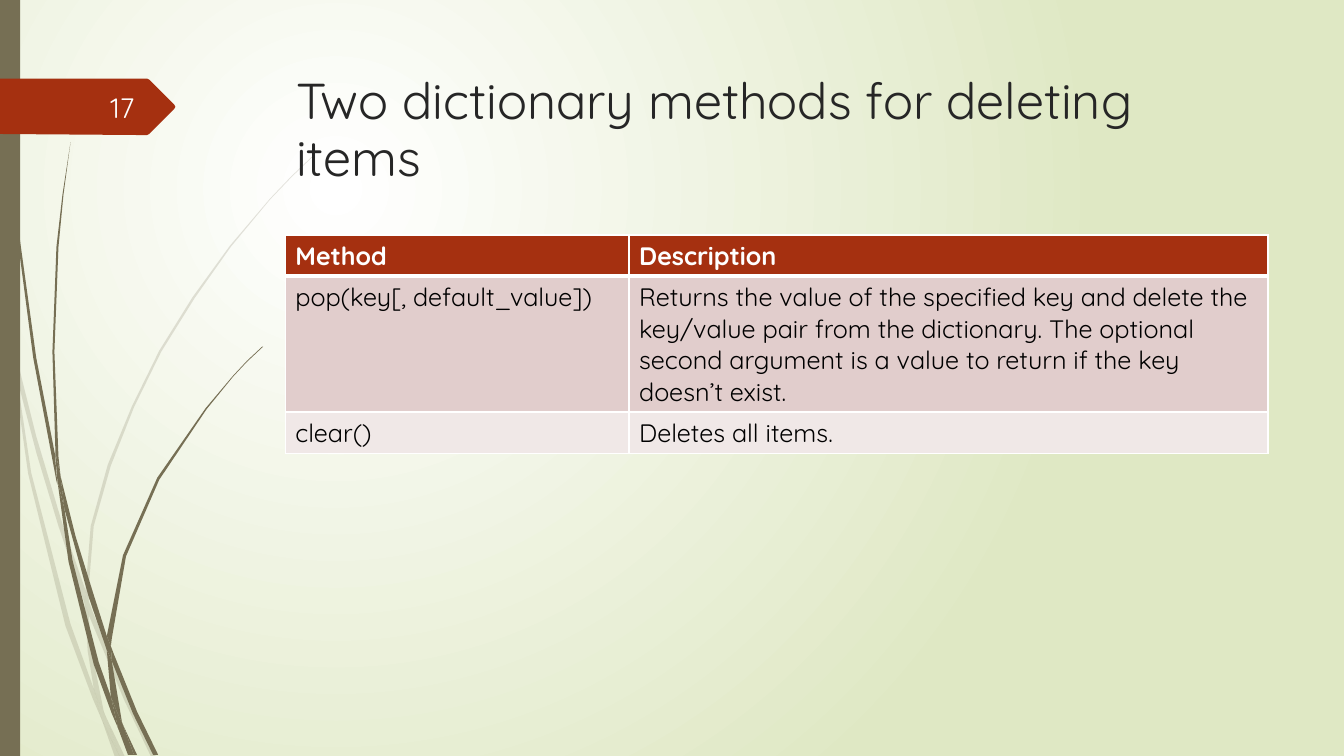
from dataclasses import dataclass

from lxml.etree import SubElement
from pptx import Presentation
from pptx.dml.color import RGBColor
from pptx.enum.shapes import MSO_SHAPE
from pptx.enum.text import MSO_ANCHOR, PP_ALIGN
from pptx.oxml import parse_xml
from pptx.oxml.ns import nsdecls, qn
from pptx.shapes.base import BaseShape
from pptx.slide import Slide
from pptx.table import _Cell as Cell
from pptx.util import Length, Pt

FONT = "Quicksand"
OLIVE = RGBColor(0x76, 0x6F, 0x54)
RUST = RGBColor(0xA5, 0x30, 0x10)
ROSE = RGBColor(0xE1, 0xCD, 0xCC)
PALE_ROSE = RGBColor(0xF0, 0xE8, 0xE7)
LIME = RGBColor(0xDF, 0xE8, 0xC4)
WHITE = RGBColor(0xFF, 0xFF, 0xFF)
NEAR_WHITE = RGBColor(0xFE, 0xFF, 0xFF)
BLACK = RGBColor(0x00, 0x00, 0x00)
CHARCOAL = RGBColor(0x26, 0x26, 0x26)

GRID = Pt(0.72)  # outline coordinates are whole steps of this grid
Outline = list[tuple[int, int]]


@dataclass(frozen=True)
class Grass:
    """A tuft of grass: the outlines of its blades and their opacity in percent."""
    blades: list[Outline]
    opacity: int


@dataclass(frozen=True)
class TextLine:
    """A one-paragraph text box; lengths in points."""
    text: str
    left: float
    top: float
    width: float
    height: float
    size: int
    color: RGBColor
    align: PP_ALIGN
    anchor: MSO_ANCHOR
    spacing: float


@dataclass(frozen=True)
class MethodRow:
    """A table row with its look; height in points."""
    texts: tuple[str, str]
    height: float
    fill: RGBColor
    color: RGBColor
    bold: bool
    top_border: int
    bottom_border: int


FAINT_GRASS = Grass([
    [(11, 350), (9, 322), (0, 282), (0, 299), (10, 344)],
    [(58, 522), (84, 599), (85, 586), (62, 520), (36, 433), (14, 345), (17, 376), (36, 449)],
    [(92, 607), (88, 596), (88, 610), (123, 694), (150, 751), (155, 751), (127, 692)],
    [(119, 751), (124, 751), (105, 711)],
    [(93, 683), (70, 619), (31, 469), (17, 376), (11, 350), (28, 470), (65, 621), (92, 693),
     (101, 714), (99, 707)],
    [(84, 599), (87, 646), (93, 683), (96, 692), (105, 711), (103, 706), (91, 646), (88, 610),
     (88, 608)],
    [(88, 584), (93, 522), (110, 462), (133, 404), (160, 349), (193, 296), (229, 245), (268, 198),
     (290, 175), (312, 154), (312, 153), (289, 175), (268, 197), (228, 244), (191, 295),
     (158, 348), (131, 403), (107, 461), (90, 522), (85, 584), (85, 586), (88, 596)],
    [(101, 714), (114, 751), (119, 751)],
    [(88, 608), (88, 610), (88, 596), (85, 586), (84, 599)],
    [(96, 692), (93, 683), (99, 707), (101, 714), (119, 751), (105, 711)],
], 20)

DARK_GRASS = Grass([
    [(7, 110), (17, 233), (33, 355), (56, 477), (57, 481), (55, 457), (55, 453), (36, 355),
     (19, 232), (8, 109), (5, 48), (4, 0), (3, 0), (4, 48)],
    [(88, 592), (106, 645), (106, 633), (106, 631), (93, 590), (75, 532), (60, 472), (64, 505)],
    [(113, 649), (110, 641), (111, 656), (132, 708), (152, 749), (157, 749), (136, 706)],
    [(110, 691), (98, 657), (72, 556), (64, 505), (57, 477), (68, 557), (93, 659), (111, 708),
     (117, 722), (116, 717)],
    [(60, 472), (58, 453), (54, 349), (58, 245), (63, 193), (70, 141), (62, 193), (56, 245),
     (52, 349), (55, 449)],
    [(133, 749), (136, 749), (122, 719)],
    [(57, 477), (64, 505), (60, 472), (55, 449), (55, 453)],
    [(111, 633), (125, 552), (158, 476), (205, 406), (231, 374), (245, 359), (261, 344),
     (260, 344), (245, 358), (231, 373), (204, 405), (156, 474), (122, 551), (106, 631),
     (110, 641)],
    [(117, 722), (127, 749), (131, 749)],
    [(106, 645), (110, 691), (116, 706), (122, 719), (121, 716), (111, 656), (109, 651)],
    [(106, 645), (109, 651), (111, 656), (110, 641), (106, 631), (106, 633)],
    [(116, 706), (110, 691), (116, 717), (117, 722), (130, 749), (133, 749), (122, 719)],
], 100)

NUMBER_FLAG = [(173, 108), (148, 133), (146, 134), (136, 134), (0, 133), (0, 78), (136, 78),
               (146, 78), (148, 79), (173, 104), (174, 106)]

TEXT_LINES = [
    TextLine("Two dictionary methods for deleting items", 204.5, 49, 702, 100.8, 36, CHARCOAL,
             PP_ALIGN.LEFT, MSO_ANCHOR.TOP, 0.95),
    TextLine("17", 41.8, 62, 61.2, 28.8, 20, NEAR_WHITE, PP_ALIGN.RIGHT, MSO_ANCHOR.MIDDLE, 1),
]

COLUMN_WIDTHS = (245.5, 456.5)
METHOD_ROWS = [
    MethodRow(("Method", "Description"), 29.5, RUST, WHITE, True, 1, 3),
    MethodRow(("pop(key[, default_value])",
               "Returns the value of the specified key and delete the key/value pair from the "
               "dictionary. The optional second argument is a value to return if the key "
               "doesn\u2019t exist."), 97, ROSE, BLACK, False, 3, 1),
    MethodRow(("clear()", "Deletes all items."), 29.5, PALE_ROSE, BLACK, False, 1, 1),
]


def paint_background(slide: Slide) -> None:
    """Fill the slide with a round glow from white to lime."""
    fill = slide.background.fill
    fill.gradient()
    for stop, color, position in zip(fill.gradient_stops, (WHITE, LIME), (0, 1)):
        stop.color.rgb, stop.position = color, position
    linear = next(slide.element.iter(qn("a:lin")))
    linear.getparent().replace(linear, parse_xml(
        f'<a:path {nsdecls("a")} path="circle">'
        '<a:fillToRect l="50000" t="50000" r="100000" b="100000"/></a:path>'))


def paint(shape: BaseShape, color: RGBColor, opacity: int = 100) -> None:
    """Give a shape a plain fill without line or shadow."""
    shape.shadow.inherit = False
    shape.line.fill.background()
    shape.fill.solid()
    shape.fill.fore_color.rgb = color
    if opacity < 100:
        color_node = next(shape.element.spPr.iter(qn("a:srgbClr")))
        SubElement(color_node, qn("a:alpha"), val=str(opacity * 1000))


def draw_outline(shapes, outline: Outline, color: RGBColor, opacity: int = 100) -> None:
    """Draw a closed outline given in grid steps."""
    builder = shapes.build_freeform(*outline[0], scale=GRID)
    builder.add_line_segments(outline[1:], close=True)
    paint(builder.convert_to_shape(), color, opacity)


def draw_grass(slide: Slide, grass: Grass) -> None:
    """Draw a tuft of grass as one group."""
    group = slide.shapes.add_group_shape()
    for blade in grass.blades:
        draw_outline(group.shapes, blade, OLIVE, grass.opacity)


def draw_text(slide: Slide, line: TextLine) -> None:
    """Add a text box."""
    box = slide.shapes.add_textbox(Pt(line.left), Pt(line.top), Pt(line.width), Pt(line.height))
    frame = box.text_frame
    frame.word_wrap, frame.vertical_anchor = True, line.anchor
    paragraph = frame.paragraphs[0]
    paragraph.text, paragraph.alignment = line.text, line.align
    paragraph.line_spacing = line.spacing
    font = paragraph.font
    font.name, font.size, font.color.rgb = FONT, Pt(line.size), line.color


def set_borders(cell: Cell, row: MethodRow) -> None:
    """Draw white borders around a cell."""
    properties = cell._tc.get_or_add_tcPr()
    widths = {"lnL": 1, "lnR": 1, "lnT": row.top_border, "lnB": row.bottom_border}
    for index, (side, width) in enumerate(widths.items()):
        properties.insert(index, parse_xml(
            f'<a:{side} {nsdecls("a")} w="{Pt(width)}"><a:solidFill>'
            f'<a:srgbClr val="{WHITE}"/></a:solidFill></a:{side}>'))


def draw_table(slide: Slide, left: Length, top: Length) -> None:
    """Add the table of dictionary methods."""
    width, height = Pt(sum(COLUMN_WIDTHS)), Pt(sum(row.height for row in METHOD_ROWS))
    table = slide.shapes.add_table(len(METHOD_ROWS), len(COLUMN_WIDTHS), left, top, width,
                                   height).table
    for column, column_width in zip(table.columns, COLUMN_WIDTHS):
        column.width = Pt(column_width)
    for table_row, row in zip(table.rows, METHOD_ROWS):
        table_row.height = Pt(row.height)
        for cell, text in zip(table_row.cells, row.texts):
            cell.text = text
            cell.fill.solid()
            cell.fill.fore_color.rgb = row.fill
            set_borders(cell, row)
            font = cell.text_frame.paragraphs[0].font
            font.name, font.size, font.bold, font.color.rgb = FONT, Pt(18), row.bold, row.color


presentation = Presentation()
presentation.slide_width, presentation.slide_height = Pt(960), Pt(540)
slide = presentation.slides.add_slide(presentation.slide_layouts[6])
paint_background(slide)
draw_grass(slide, FAINT_GRASS)
draw_grass(slide, DARK_GRASS)
paint(slide.shapes.add_shape(MSO_SHAPE.RECTANGLE, 0, 0, Pt(14.4), Pt(540)), OLIVE)
draw_outline(slide.shapes, NUMBER_FLAG, RUST)
title, slide_number = TEXT_LINES
draw_text(slide, title)
draw_table(slide, Pt(203.8), Pt(167.8))
draw_text(slide, slide_number)
presentation.save("out.pptx")
